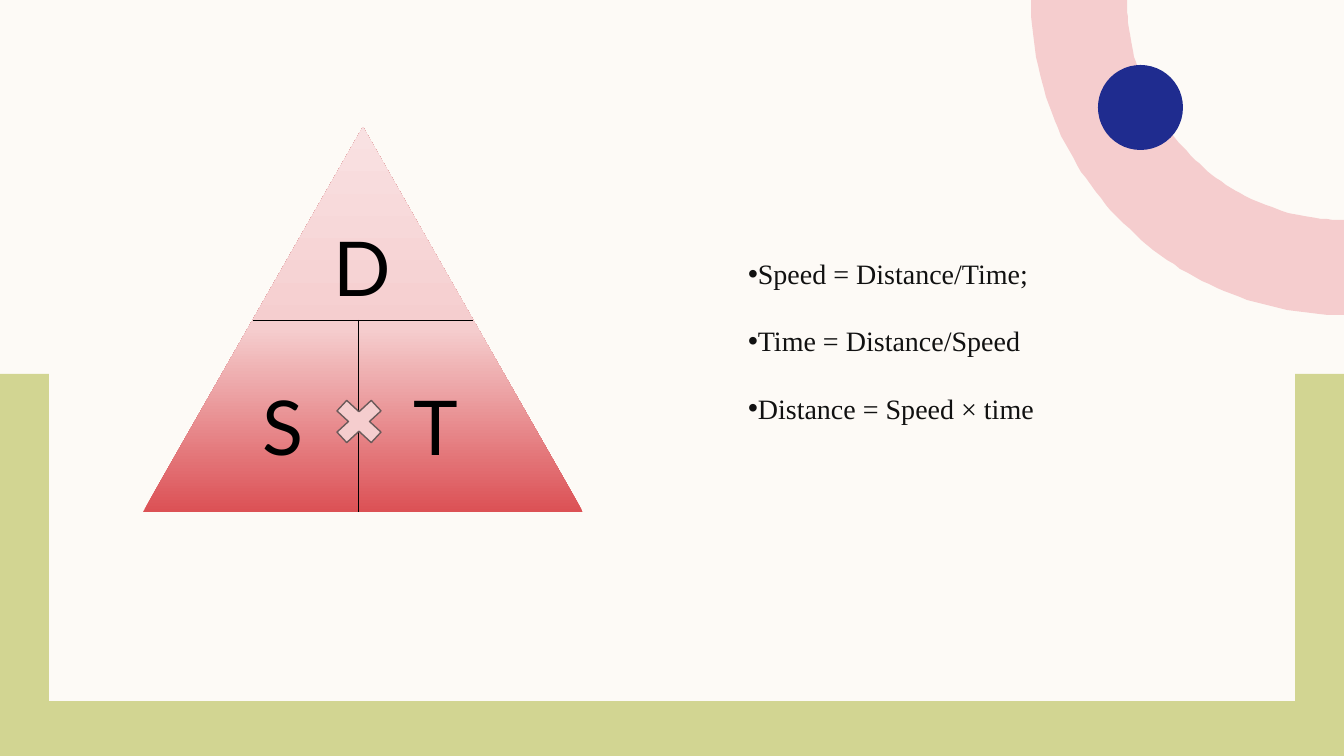
from copy import deepcopy
from math import cos, pi, sin

from pptx import Presentation
from pptx.dml.color import RGBColor
from pptx.enum.shapes import MSO_CONNECTOR, MSO_SHAPE
from pptx.enum.text import MSO_ANCHOR, MSO_AUTO_SIZE, PP_ALIGN
from pptx.oxml.ns import qn
from pptx.oxml.xmlchemy import OxmlElement
from pptx.util import Pt

CREAM = RGBColor(0xFD, 0xFA, 0xF6)
OLIVE = RGBColor(0xD2, 0xD5, 0x92)
PINK = RGBColor(0xF5, 0xCD, 0xCE)
NAVY = RGBColor(0x1F, 0x2C, 0x8F)
BLACK = RGBColor(0x00, 0x00, 0x00)
INK = RGBColor(0x11, 0x11, 0x11)
BROWN = RGBColor(0x6B, 0x5A, 0x5A)
TRIANGLE_STOPS = [
    (0, RGBColor(0xDC, 0x51, 0x55)),
    (0.48, RGBColor(0xF5, 0xCE, 0xCF)),
    (1, RGBColor(0xF9, 0xE1, 0xE2)),
]

FORMULAS = ["Speed = Distance/Time;", "Time = Distance/Speed", "Distance = Speed × time"]
FORMULA_BOX = (738, 218, 437, 204)
LETTERS = [("D", (323, 216, 79, 102)), ("S", (253, 375, 59, 102)), ("T", (402, 375, 67, 102))]
DIVIDERS = [(253, 320, 473, 320), (358, 320, 358, 512)]

WIDTH, HEIGHT = 1344, 756
OLIVE_BAND = (0, 374, WIDTH, 382)
CREAM_PANEL = (49, 36, 1246, 665)
DOT = (1098, 65, 85, 85)
TRIANGLE = (143, 127, 440, 385)
TIMES_SIGN = (326, 391, 66, 61)
RING_OUTER, RING_INNER = (313, 315), (217, 220)
ARC_STEPS = 60
EMU_PER_PX = 12192000 / WIDTH


def emu(*lengths):
    """Turn px lengths into EMU."""
    return [round(length * EMU_PER_PX) for length in lengths]


def add_filled(slide, preset, box, color):
    """Add a plain preset shape without an outline."""
    shape = slide.shapes.add_shape(preset, *emu(*box))
    shape.shadow.inherit = False
    shape.fill.solid()
    shape.fill.fore_color.rgb = color
    shape.line.fill.background()
    return shape


def quarter_arc(radii):
    """List points from the top edge to the right edge of the slide."""
    angles = [pi / 2 * step / ARC_STEPS for step in range(ARC_STEPS + 1)]
    return [(WIDTH - radii[0] * cos(angle), radii[1] * sin(angle)) for angle in angles]


def add_ring(slide):
    """Draw the quarter ring in the top right corner."""
    outline = quarter_arc(RING_OUTER) + quarter_arc(RING_INNER)[::-1]
    builder = slide.shapes.build_freeform(*outline[0], scale=EMU_PER_PX)
    builder.add_line_segments(outline[1:], close=True)
    ring = builder.convert_to_shape()
    ring.shadow.inherit = False
    ring.fill.solid()
    ring.fill.fore_color.rgb = PINK
    ring.line.fill.background()


def add_triangle(slide):
    """Draw the triangle with its three-stop gradient."""
    triangle = add_filled(slide, MSO_SHAPE.ISOSCELES_TRIANGLE, TRIANGLE, PINK)
    triangle.fill.gradient()
    triangle.fill.gradient_angle = 90
    stop_list = triangle._element.spPr.find(".//" + qn("a:gsLst"))
    stop_list.insert(1, deepcopy(stop_list[0]))
    for stop, (position, color) in zip(triangle.fill.gradient_stops, TRIANGLE_STOPS):
        stop.position = position
        stop.color.rgb = color


def add_divider(slide, ends):
    """Draw one thin line across the triangle."""
    divider = slide.shapes.add_connector(MSO_CONNECTOR.STRAIGHT, *emu(*ends))
    divider.line.color.rgb = BLACK
    divider.line.width = Pt(0.5)
    divider._element.spPr.append(OxmlElement("a:effectLst"))


def style_run(run, font, size, color):
    """Set the face, size and colour of a run."""
    run.font.name = font
    run.font.size = Pt(size)
    run.font.color.rgb = color


def add_letter(slide, letter, box):
    """Place one large letter in the triangle."""
    frame = slide.shapes.add_textbox(*emu(*box)).text_frame
    frame.word_wrap = False
    frame.auto_size = MSO_AUTO_SIZE.SHAPE_TO_FIT_TEXT
    frame.text = letter
    frame.paragraphs[0].alignment = PP_ALIGN.CENTER
    style_run(frame.paragraphs[0].runs[0], "Lato", 54, BLACK)


def fill_formulas(slide, formulas):
    """Fill the body placeholder with the bulleted formulas."""
    formulas.left, formulas.top, formulas.width, formulas.height = emu(*FORMULA_BOX)
    frame = formulas.text_frame
    frame.word_wrap = True
    frame.auto_size = MSO_AUTO_SIZE.SHAPE_TO_FIT_TEXT
    frame.vertical_anchor = MSO_ANCHOR.TOP
    frame.text = "\n".join(FORMULAS)
    for paragraph in frame.paragraphs:
        paragraph.line_spacing = 2.0
        paragraph.space_before = Pt(0)
        properties = paragraph._p.get_or_add_pPr()
        properties.set("marL", "0")
        properties.set("indent", "0")
        bullet = OxmlElement("a:buChar")
        bullet.set("char", "•")
        properties.append(bullet)
        style_run(paragraph.runs[0], "Times New Roman", 20, INK)
    slide.shapes._spTree.append(formulas._element)


def main():
    """Build the speed, distance and time slide."""
    deck = Presentation()
    deck.slide_width, deck.slide_height = emu(WIDTH, HEIGHT)
    slide = deck.slides.add_slide(deck.slide_layouts[1])
    slide.background.fill.solid()
    slide.background.fill.fore_color.rgb = CREAM
    title, formulas = slide.placeholders
    slide.shapes._spTree.remove(title._element)

    add_filled(slide, MSO_SHAPE.RECTANGLE, OLIVE_BAND, OLIVE)
    add_filled(slide, MSO_SHAPE.RECTANGLE, CREAM_PANEL, CREAM)
    add_ring(slide)
    add_filled(slide, MSO_SHAPE.OVAL, DOT, NAVY)

    add_triangle(slide)
    for ends in DIVIDERS:
        add_divider(slide, ends)
    for letter, box in LETTERS:
        add_letter(slide, letter, box)
    fill_formulas(slide, formulas)

    times_sign = add_filled(slide, MSO_SHAPE.MATH_MULTIPLY, TIMES_SIGN, PINK)
    times_sign.line.color.rgb = BROWN
    times_sign.line.width = Pt(1)
    deck.save("out.pptx")


if __name__ == "__main__":
    main()
